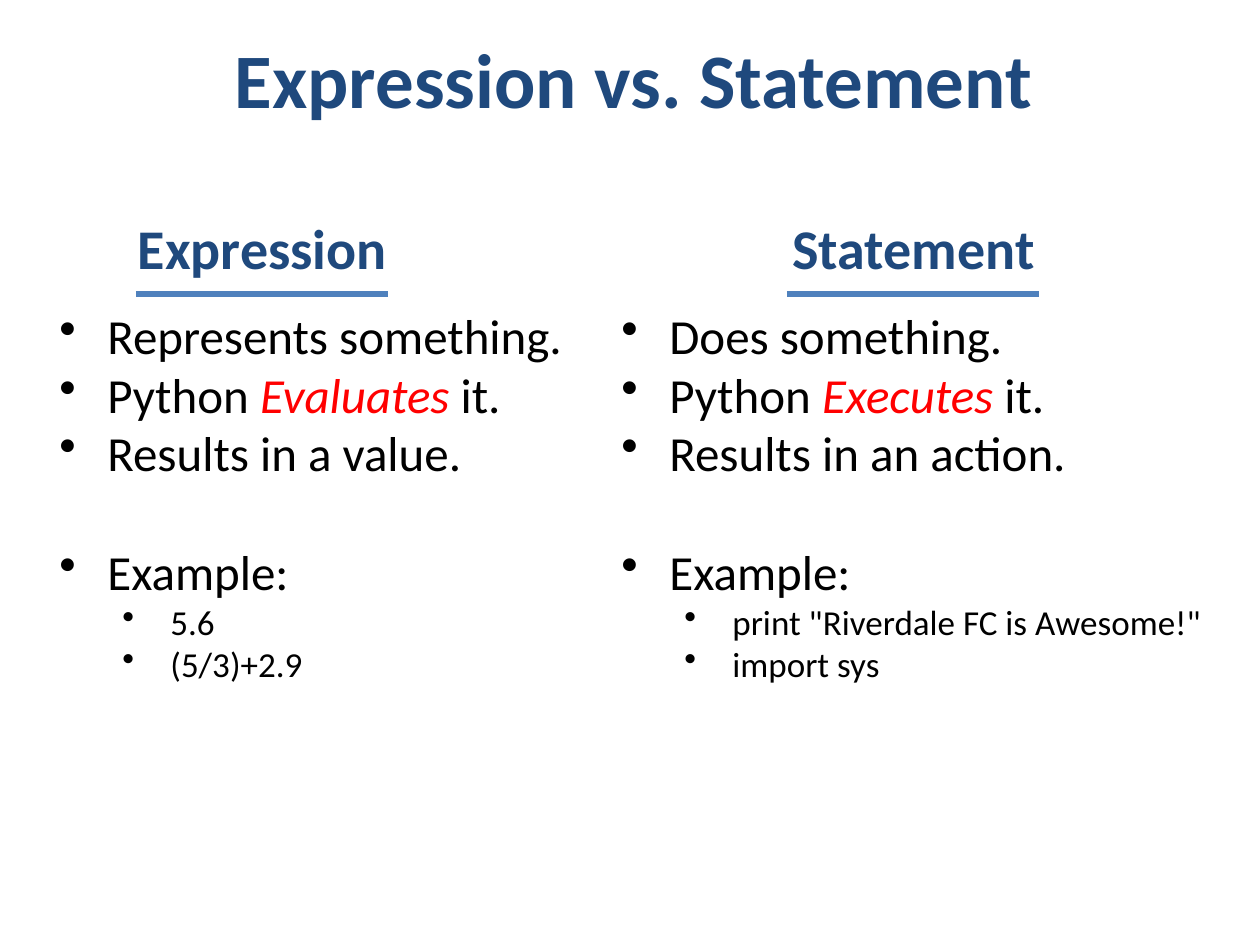
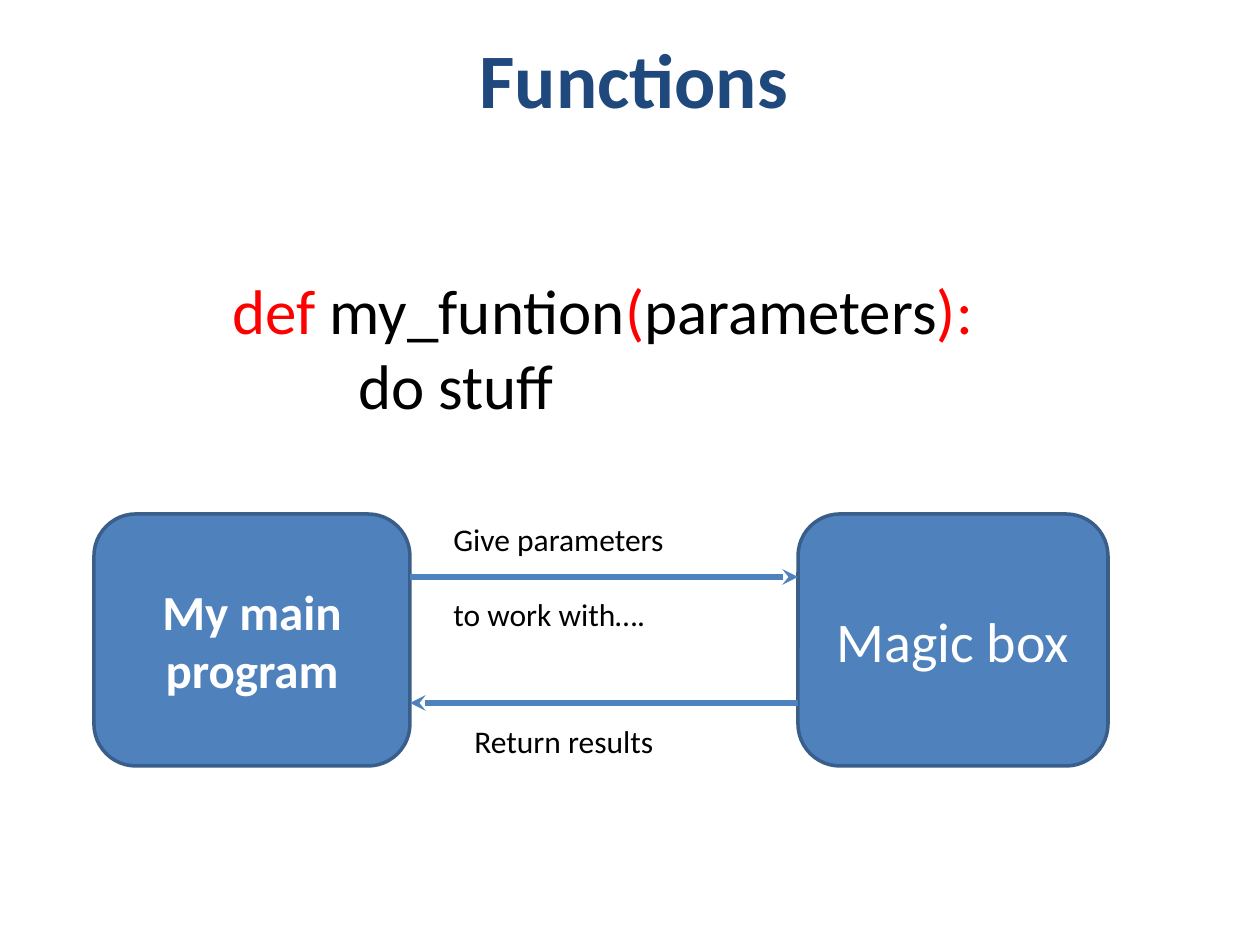
"""Builds two slides on expressions, statements and functions."""
import pptx
import pptx.dml.color
import pptx.enum.shapes
import pptx.enum.text
import pptx.oxml
import pptx.oxml.ns
import pptx.util

RGB = pptx.dml.color.RGBColor
NAVY = RGB(0x1F, 0x49, 0x7D)
BLUE = RGB(0x4F, 0x81, 0xBD)
EDGE = RGB(0x39, 0x5E, 0x89)
RED = RGB(0xFF, 0, 0)
BLACK = RGB(0, 0, 0)
WHITE = RGB(0xFF, 0xFF, 0xFF)
FONT = "Calibri"
CENTER = pptx.enum.text.PP_ALIGN.CENTER
LEFT = pptx.enum.text.PP_ALIGN.LEFT
TOP = pptx.enum.text.MSO_ANCHOR.TOP
MIDDLE = pptx.enum.text.MSO_ANCHOR.MIDDLE

TITLE_BOX = (63, 10, 1142, 136)
RULE_Y, RULE_WIDTH = 294, 252
COLUMNS = [
    {"heading": "Expression", "heading_x": 63, "rule_x": 136, "body": (47, 299, 562, 394),
     "points": ["Represents something.", ("Python ", "Evaluates", " it."), "Results in a value."],
     "examples": ["5.6", "(5/3)+2.9"]},
    {"heading": "Statement", "heading_x": 714, "rule_x": 787, "body": (609, 299, 645, 394),
     "points": ["Does something.", ("Python ", "Executes", " it."), "Results in an action."],
     "examples": ['print "Riverdale FC is Awesome!"', "import sys"]},
]

CODE = [("def", RED), (" my_funtion", BLACK), ("(", RED), ("parameters", BLACK), ("):", RED)]
BOX_TOP, BOX_HEIGHT = 514, 252
BOXES = [("My main program", 94, 316, 28, True), ("Magic box", 798, 310, 32, False)]
LABELS = [((441, 514, 294, 127), ["Give parameters", "to work with…."]),
          ((462, 716, 294, 50), ["Return results"])]


def px(n):
    return pptx.util.Emu(round(n * 914400 / 126))


def add_run(p, text, size, color=BLACK, bold=False, italic=False):
    r = p.add_run()
    r.text = text
    r.font.name, r.font.size = FONT, pptx.util.Pt(size)
    r.font.bold, r.font.italic = bold, italic
    r.font.color.rgb = color


def add_paragraph(tf, first=False, align=LEFT, before=0):
    p = tf.paragraphs[0] if first else tf.add_paragraph()
    p.alignment = align
    p.space_before = pptx.util.Pt(before)
    return p


def prepare(sp, anchor=TOP):
    tf = sp.text_frame
    tf.word_wrap = True
    tf.auto_size = pptx.enum.text.MSO_AUTO_SIZE.NONE
    tf.vertical_anchor = anchor
    return tf


def add_text_box(s, box, anchor=TOP):
    return prepare(s.shapes.add_textbox(*map(px, box)), anchor)


def add_line(s, x1, x2, y, arrow=False):
    sp = s.shapes.add_connector(pptx.enum.shapes.MSO_CONNECTOR.STRAIGHT,
                                px(x1), px(y), px(x2), px(y))
    sp.line.color.rgb, sp.line.width = BLUE, pptx.util.Pt(3)
    if arrow:
        pptx.oxml.ns.qn("a:tailEnd")
        ln = sp.line._get_or_add_ln()
        ln.append(ln.makeelement(pptx.oxml.ns.qn("a:tailEnd"), {"type": "stealth"}))
    props = sp._element.spPr
    props.append(props.makeelement(pptx.oxml.ns.qn("a:effectLst"), {}))


def set_bullet(p, level, indent, hang=48):
    p.level = level
    props = p._p.get_or_add_pPr()
    props.set("marL", str(px(indent)))
    props.set("indent", str(-px(hang)))
    props.append(props.makeelement(pptx.oxml.ns.qn("a:buChar"), {"char": "•"}))


def add_slide(prs, title):
    s = prs.slides.add_slide(prs.slide_layouts[5])
    sp = s.shapes.title
    sp.left, sp.top, sp.width, sp.height = map(px, TITLE_BOX)
    tf = prepare(sp, MIDDLE)
    add_run(add_paragraph(tf, True, CENTER), title, 44, NAVY, True)
    return s


def add_column(s, column):
    tf = add_text_box(s, (column["heading_x"], 179, 399, 136), MIDDLE)
    add_run(add_paragraph(tf, True, CENTER), column["heading"], 32, NAVY, True)
    add_line(s, column["rule_x"], column["rule_x"] + RULE_WIDTH, RULE_Y)

    tf = add_text_box(s, column["body"])
    for i, point in enumerate(column["points"] + ["Example:"]):
        p = add_paragraph(tf, i == 0, before=34 if point == "Example:" else 0)
        set_bullet(p, 0, 48)
        parts = (point,) if isinstance(point, str) else point
        for j, part in enumerate(parts):
            add_run(p, part, 28, RED if j == 1 else BLACK, italic=j == 1)
    for example in column["examples"]:
        p = add_paragraph(tf)
        set_bullet(p, 1, 111)
        add_run(p, example, 20)


def add_box(s, text, left, width, size, bold):
    sp = s.shapes.add_shape(pptx.enum.shapes.MSO_SHAPE.ROUNDED_RECTANGLE,
                            *map(px, (left, BOX_TOP, width, BOX_HEIGHT)))
    sp.shadow.inherit = False
    sp.fill.solid()
    sp.fill.fore_color.rgb = BLUE
    sp.line.color.rgb, sp.line.width = EDGE, pptx.util.Pt(2)
    tf = prepare(sp, MIDDLE)
    add_run(add_paragraph(tf, True, CENTER), text, size, WHITE, bold)


prs = pptx.Presentation()
prs.slide_width, prs.slide_height = px(1260), px(945)

s = add_slide(prs, "Expression vs. Statement")
for column in COLUMNS:
    add_column(s, column)

s = add_slide(prs, "Functions")
tf = add_text_box(s, (220, 265, 935, 318))
p = add_paragraph(tf, True)
for text, color in CODE:
    add_run(p, text, 36, color)
p = add_paragraph(tf)
p._p.get_or_add_pPr().set("marL", str(px(126)))
add_run(p, "do stuff", 36)

for box in BOXES:
    add_box(s, *box)
start, end = BOXES[0][1] + BOXES[0][2], BOXES[1][1]
add_line(s, start, end, BOX_TOP + BOX_HEIGHT / 4, True)
add_line(s, end, start, BOX_TOP + BOX_HEIGHT * 3 / 4, True)
for box, lines in LABELS:
    tf = add_text_box(s, box)
    for i, line in enumerate(lines):
        add_run(add_paragraph(tf, i == 0, before=21 * i), line, 18)

prs.save("out.pptx")
